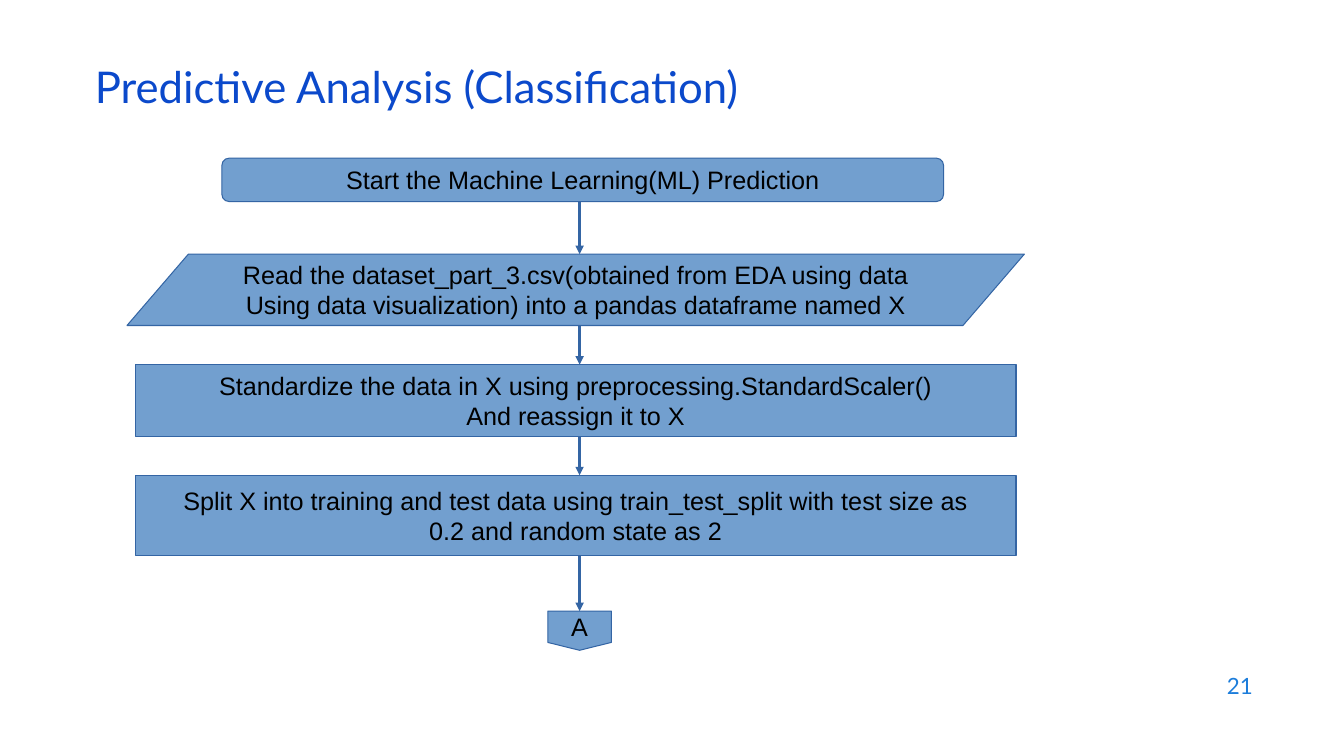
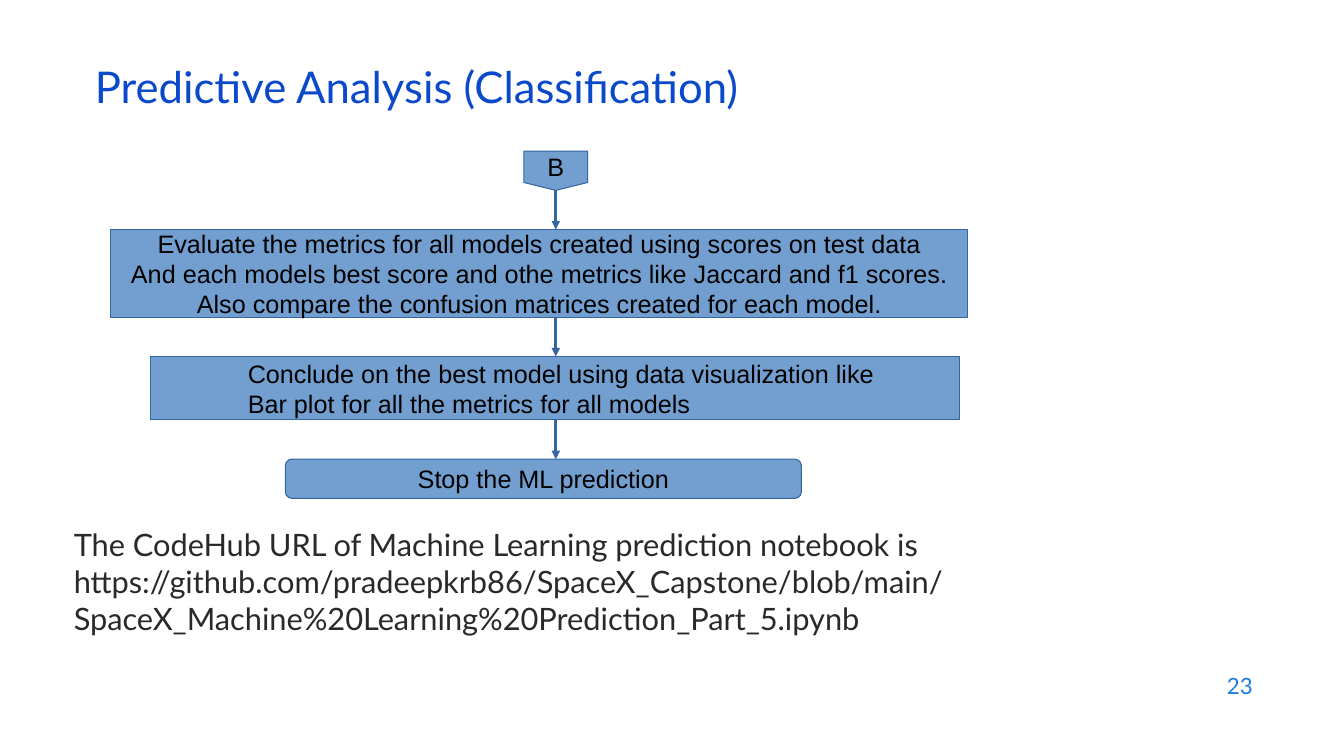
import dataclasses

import lxml.etree
import pptx
import pptx.dml.color
import pptx.enum.shapes
import pptx.enum.text
import pptx.oxml.ns
import pptx.util

Pt = pptx.util.Pt
Shape = pptx.enum.shapes.MSO_SHAPE
Align = pptx.enum.text.PP_ALIGN
Anchor = pptx.enum.text.MSO_ANCHOR
qn = pptx.oxml.ns.qn

TITLE_BLUE = "0B49CB"
NUMBER_BLUE = "1C7DDB"
STEP_FILL = "729FCF"
STEP_LINE = "3465A4"
NOTE_GREY = "292929"
BLACK = "000000"
HAIRLINE = Pt(0)

TITLE_BOX = (60.5, 42.5, 828, 43)
NUMBER_BOX = (686, 474.5, 216, 31)
NOTE_BOX = (45.5, 372, 856, 84)
PENTAGON_WIDTH, PENTAGON_HEIGHT = 45.4, 28


@dataclasses.dataclass
class Step:
    kind: int
    left: float
    width: float
    height: float
    lines: tuple
    gap: float = 28  # length of the arrow that follows
    indent: float = 0  # left-aligned at this inset when not zero
    slant: float = 0


def colour(hex_code):
    return pptx.dml.color.RGBColor.from_string(hex_code)


def place(shape, box):
    shape.left, shape.top, shape.width, shape.height = map(Pt, box)


def remove_bullet(paragraph):
    paragraph.space_before = Pt(0)
    properties = paragraph._p.get_or_add_pPr()
    properties.set("marL", "0")
    properties.set("indent", "0")
    lxml.etree.SubElement(properties, qn("a:buNone"))


def write(frame, lines, font, size, hex_code, align=Align.LEFT,
          anchor=Anchor.MIDDLE, bulleted=False):
    """Fill the frame; bulleted tells that its template has bullets to remove."""
    frame.auto_size = pptx.enum.text.MSO_AUTO_SIZE.NONE
    frame.vertical_anchor = anchor
    frame.text = "\n".join(lines)
    for paragraph in frame.paragraphs:
        if bulleted:
            remove_bullet(paragraph)
        paragraph.alignment = align
        paragraph.font.name = font
        paragraph.font.size = Pt(size)
        paragraph.font.color.rgb = colour(hex_code)


def outline(shape):
    shape.line.color.rgb = colour(STEP_LINE)
    shape.line.width = HAIRLINE


def add_frame(prs, layout_index, number):
    """Add a slide with the shared title and its page number."""
    slide = prs.slides.add_slide(prs.slide_layouts[layout_index])
    title = slide.shapes.title
    place(title, TITLE_BOX)
    write(title.text_frame, ["Predictive Analysis (Classification)"],
          "Lato", 31.2, TITLE_BLUE)
    title.text_frame.paragraphs[0].line_spacing = 0.9
    page = slide.shapes.add_textbox(*map(Pt, NUMBER_BOX)).text_frame
    page.word_wrap = True
    write(page, [str(number)], "Lato", 16, NUMBER_BLUE, Align.RIGHT)
    return slide


def add_step(slide, step, top):
    box = slide.shapes.add_shape(
        step.kind, *map(Pt, (step.left, top, step.width, step.height)))
    box.shadow.inherit = False
    box.fill.solid()
    box.fill.fore_color.rgb = colour(STEP_FILL)
    outline(box)
    if step.slant:
        box.adjustments[0] = step.slant
    frame = box.text_frame
    frame.word_wrap = bool(step.indent)
    if step.indent:
        frame.margin_left = Pt(step.indent)
    write(frame, step.lines, "Arial", 18, BLACK,
          Align.LEFT if step.indent else Align.CENTER)


def add_arrow(slide, x, top, bottom):
    arrow = slide.shapes.add_connector(
        pptx.enum.shapes.MSO_CONNECTOR.STRAIGHT, Pt(x), Pt(top), Pt(x), Pt(bottom))
    outline(arrow)
    properties = arrow._element.spPr
    lxml.etree.SubElement(properties.find(qn("a:ln")), qn("a:tailEnd"), type="triangle")
    lxml.etree.SubElement(properties, qn("a:effectLst"))


def add_flow(slide, axis, top, steps):
    """Stack the steps downwards, joined by arrows along the axis."""
    for step in steps:
        add_step(slide, step, top)
        bottom = top + step.height
        top = bottom + step.gap
        if step is not steps[-1]:
            add_arrow(slide, axis, bottom, top)


def page_link(axis, letter):
    return Step(Shape.FLOWCHART_OFFPAGE_CONNECTOR, axis - PENTAGON_WIDTH / 2,
                PENTAGON_WIDTH, PENTAGON_HEIGHT, (letter,))


def add_note(slide, box, lines):
    note = slide.placeholders[1]
    place(note, box)
    write(note.text_frame, lines, "Lato", 22, NOTE_GREY,
          anchor=Anchor.TOP, bulleted=True)


def build_preparation(prs):
    axis = 414
    slide = add_frame(prs, 5, 21)
    add_flow(slide, axis, 113, [
        Step(Shape.ROUNDED_RECTANGLE, 158.5, 515.5, 31,
             ("Start the Machine Learning(ML) Prediction",), gap=37.5),
        Step(Shape.PARALLELOGRAM, 90.7, 641, 51,
             ("Read the dataset_part_3.csv(obtained from EDA using data",
              "Using data visualization) into a pandas dataframe named X"), slant=0.86),
        Step(Shape.RECTANGLE, 96.5, 629.3, 51,
             ("Standardize the data in X using preprocessing.StandardScaler()",
              "And reassign it to X")),
        Step(Shape.RECTANGLE, 96.5, 629.3, 57,
             ("Split X into training and test data using train_test_split with test size as",
              "0.2 and random state as 2"), gap=40),
        page_link(axis, "A"),
    ])


def build_conclusion(prs):
    axis = 397
    slide = add_frame(prs, 1, 23)
    add_flow(slide, axis, 108, [
        page_link(axis, "B"),
        Step(Shape.RECTANGLE, 79.2, 612, 62.6,
             ("Evaluate the metrics for all models created using scores on test data",
              "And each models best score and othe metrics like Jaccard and f1 scores.",
              "Also compare the confusion matrices created for each model.")),
        Step(Shape.RECTANGLE, 107.5, 578, 45.4,
             ("Conclude on the best model using data visualization like",
              "Bar plot for all the metrics for all models"), indent=69.5),
        Step(Shape.ROUNDED_RECTANGLE, 203.8, 368.6, 28, ("Stop the ML prediction",)),
    ])
    add_note(slide, NOTE_BOX, [
        "The CodeHub URL of Machine Learning prediction notebook is",
        "https://github.com/pradeepkrb86/SpaceX_Capstone/blob/main/"
        "SpaceX_Machine%20Learning%20Prediction_Part_5.ipynb",
    ])


def main():
    prs = pptx.Presentation()
    prs.slide_width, prs.slide_height = Pt(960), Pt(540)
    build_preparation(prs)
    build_conclusion(prs)
    prs.save("out.pptx")


if __name__ == "__main__":
    main()
